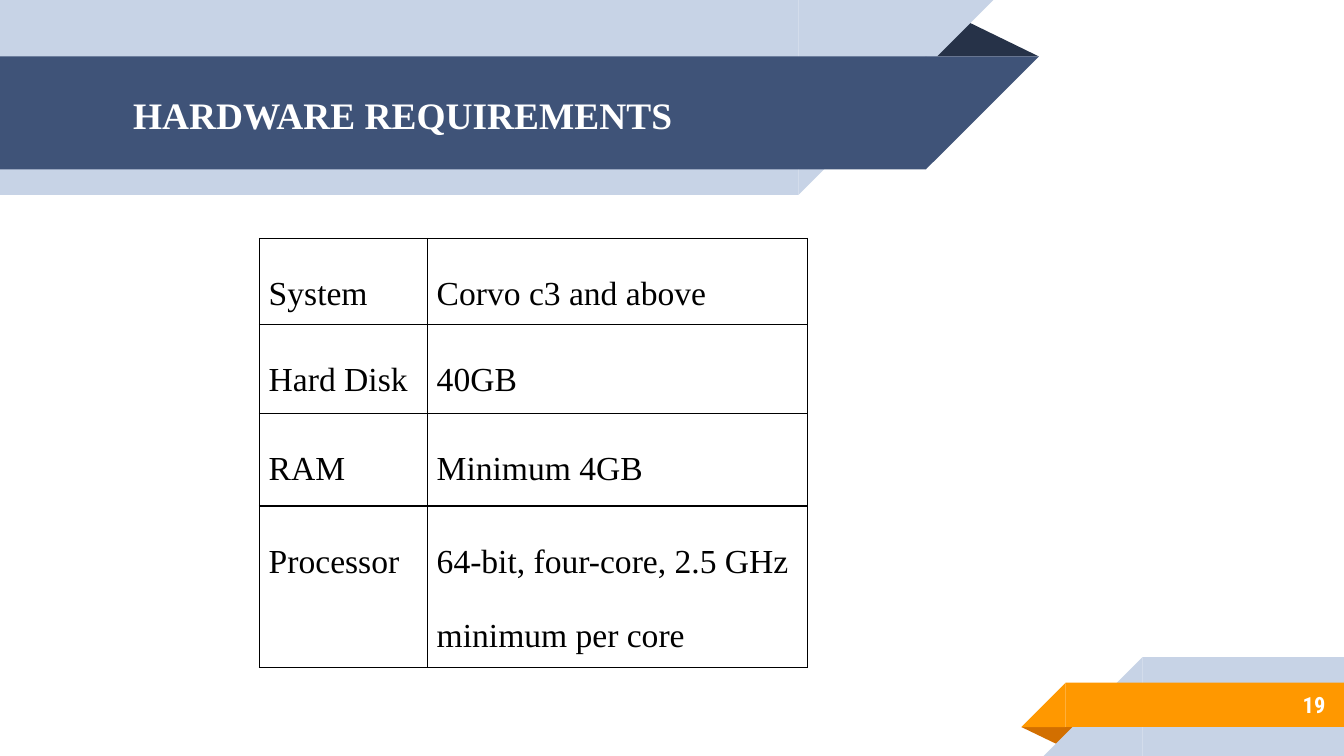
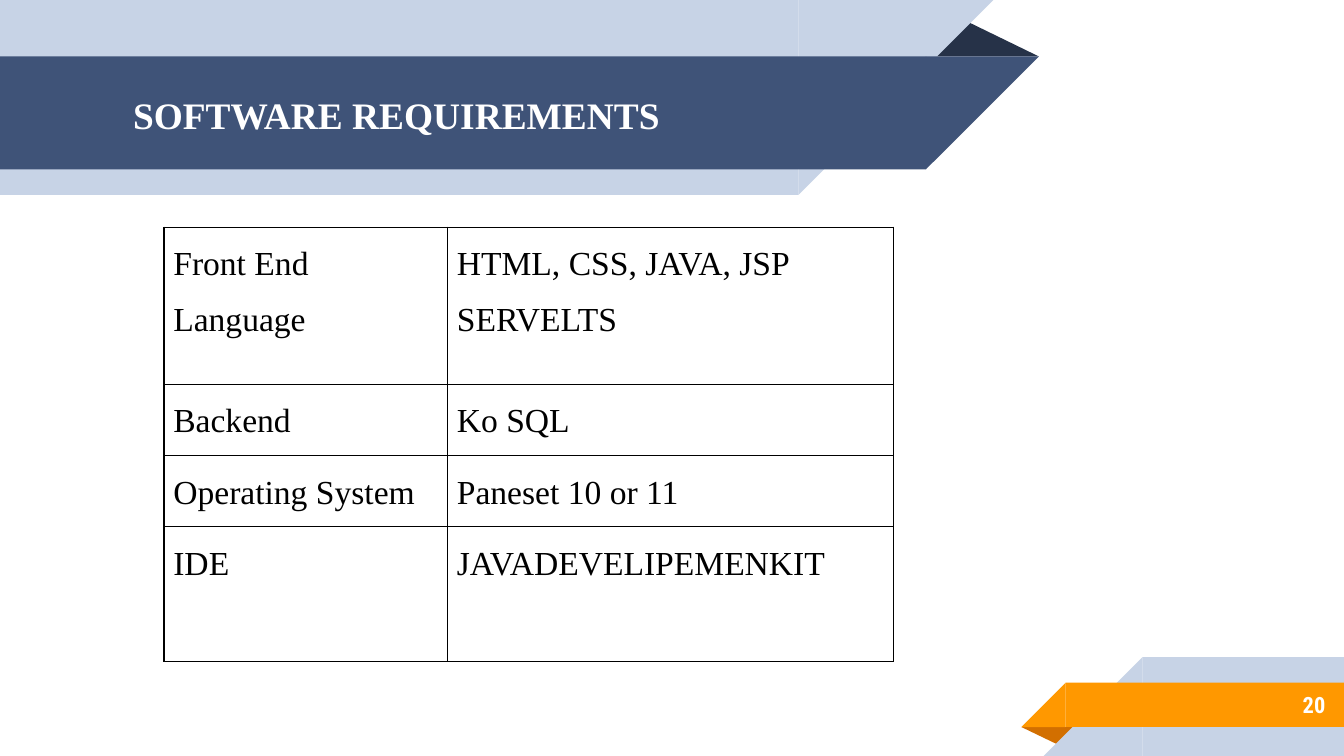
from dataclasses import dataclass

from lxml.etree import SubElement
from pptx import Presentation
from pptx.dml.color import RGBColor
from pptx.enum.shapes import MSO_SHAPE
from pptx.enum.text import MSO_ANCHOR, PP_ALIGN
from pptx.oxml.ns import qn
from pptx.util import Inches, Pt

# The grid is square: 100 columns across, 56.25 rows down
COLUMNS, ROWS = 100, 56.25
FIRST_PAGE = 19


@dataclass(frozen=True)
class Theme:
    pale: str = "C7D3E6"
    navy: str = "3F5378"
    navy_fold: str = "263248"
    orange: str = "FF9800"
    orange_fold: str = "D26F00"
    white: str = "FFFFFF"
    ink: str = "000000"
    body_font: str = "Times New Roman"
    number_font: str = "Roboto Condensed"
    title_size: int = 20
    table_size: int = 18
    number_size: int = 12
    border_width: float = 0.75
    fold_apex: float = 0.324
    text_inset: float = 1
    cell_inset: float = 0.7


class Deck:
    def __init__(self, theme):
        self.theme = theme
        self.presentation = Presentation()
        self.presentation.slide_width = Inches(10)
        self.presentation.slide_height = Inches(5.625)
        self.slide = None

    def grid(self, *cells):
        """Turn grid units into lengths."""
        unit = self.presentation.slide_width / COLUMNS
        return [round(cell * unit) for cell in cells]

    def style(self, paragraph, size, color, font, bold=False):
        for run in paragraph.runs:
            run.font.size = Pt(size)
            run.font.name = font
            run.font.bold = bold
            run.font.color.rgb = RGBColor.from_string(color)

    def piece(self, preset, color, box, rotation=0, flipped=False):
        piece = self.slide.shapes.add_shape(preset, *self.grid(*box))
        piece.shadow.inherit = False
        piece.fill.solid()
        piece.fill.fore_color.rgb = RGBColor.from_string(color)
        piece.line.fill.background()
        piece.rotation = rotation
        if flipped:
            piece.element.spPr.xfrm.set("flipH", "1")
        return piece

    def fold(self, color, box, rotation=0):
        fold = self.piece(MSO_SHAPE.ISOSCELES_TRIANGLE, color, box, rotation)
        fold.adjustments[0] = self.theme.fold_apex

    def left_ribbon(self, color, top, width, height):
        """Band from the left edge with a slanted right end."""
        self.piece(MSO_SHAPE.RECTANGLE, color, (0, top, width, height), 180, True)
        self.piece(MSO_SHAPE.RIGHT_TRIANGLE, color,
                   (width, top, height, height), 180, True)

    def right_ribbon(self, color, top, width, height):
        """Band to the right edge with a slanted left end."""
        left = COLUMNS - width
        self.piece(MSO_SHAPE.RECTANGLE, color, (left, top, width, height), 0, True)
        self.piece(MSO_SHAPE.RIGHT_TRIANGLE, color,
                   (left - height, top, height, height), 0, True)

    def ribbons(self):
        theme = self.theme
        # Title ribbon
        self.fold(theme.navy_fold, (68.8, 1.4, 8.5, 2.8))
        self.left_ribbon(theme.pale, 0, 59.4, 14.5)
        self.left_ribbon(theme.navy, 4.2, 68.9, 8.4)
        # Page number ribbon
        self.fold(theme.orange_fold, (76, 54.1, 4.3, 1.4), 180)
        self.right_ribbon(theme.pale, ROWS - 7.35, 15, 7.35)
        self.right_ribbon(theme.orange, 50.8, 20.7, 3.3)

    def frame_text(self, holder, text, align):
        frame = holder.text_frame
        frame.text = text
        frame.word_wrap = True
        frame.vertical_anchor = MSO_ANCHOR.MIDDLE
        inset, = self.grid(self.theme.text_inset)
        frame.margin_left = frame.margin_right = inset
        frame.margin_top = frame.margin_bottom = inset
        frame.paragraphs[0].alignment = align
        return frame.paragraphs[0]

    def title(self, text):
        heading = self.slide.shapes.title
        heading.left, heading.top, heading.width, heading.height = self.grid(
            8.9, 4.3, 57.5, 8.4)
        paragraph = self.frame_text(heading, text, PP_ALIGN.LEFT)
        self.style(paragraph, self.theme.title_size, self.theme.white,
                   self.theme.body_font, bold=True)

    def page_number(self, number):
        page = self.slide.shapes.add_textbox(*self.grid(83.3, 50.7, 16.3, 3.5))
        paragraph = self.frame_text(page, str(number), PP_ALIGN.RIGHT)
        self.style(paragraph, self.theme.number_size, self.theme.white,
                   self.theme.number_font, bold=True)

    def borders(self, cell):
        properties = cell._tc.get_or_add_tcPr()
        for position, side in enumerate(("lnL", "lnR", "lnT", "lnB")):
            line = SubElement(properties, qn(f"a:{side}"),
                              w=str(Pt(self.theme.border_width)))
            fill = SubElement(line, qn("a:solidFill"))
            SubElement(fill, qn("a:srgbClr"), val=self.theme.ink)
            properties.insert(position, line)

    def table(self, requirements, corner, widths, heights, line_spacing):
        box = self.grid(*corner, sum(widths), sum(heights))
        table = self.slide.shapes.add_table(len(heights), len(widths), *box).table
        table.first_row = table.horz_banding = False
        for column, width in zip(table.columns, self.grid(*widths)):
            column.width = width
        for row, height, texts in zip(table.rows, self.grid(*heights), requirements):
            row.height = height
            for cell, text in zip(row.cells, texts):
                self.table_cell(cell, text, line_spacing)

    def table_cell(self, cell, text, line_spacing):
        cell.fill.background()
        self.borders(cell)
        cell.margin_left, cell.margin_right = self.grid(*[self.theme.cell_inset] * 2)
        cell.margin_top = cell.margin_bottom = 0
        cell.text_frame.text = text
        paragraph = cell.text_frame.paragraphs[0]
        paragraph.line_spacing = line_spacing
        paragraph.space_after = Pt(8)
        self.style(paragraph, self.theme.table_size, self.theme.ink,
                   self.theme.body_font)

    def requirements_slide(self, number, heading, **table):
        title_only = self.presentation.slide_layouts[5]
        self.slide = self.presentation.slides.add_slide(title_only)
        self.ribbons()
        self.title(heading)
        self.page_number(number)
        self.table(**table)
        # The title lies above the ribbons
        tree = self.slide.shapes.title.element.getparent()
        tree.insert(len(tree) - 2, self.slide.shapes.title.element)


HARDWARE = dict(
    heading="HARDWARE REQUIREMENTS",
    requirements=[
        ("System", "Corvo c3 and above"),
        ("Hard Disk", "40GB"),
        ("RAM", "Minimum 4GB"),
        ("Processor", "64-bit, four-core, 2.5 GHz minimum per core"),
    ],
    corner=(19.3, 17.75),
    widths=(12.5, 28.3),
    heights=(6.4, 6.6, 6.9, 12),
    line_spacing=2.0,
)

SOFTWARE = dict(
    heading="SOFTWARE REQUIREMENTS",
    requirements=[
        ("Front End Language", "HTML, CSS, JAVA, JSP SERVELTS"),
        ("Backend", "Ko SQL"),
        ("Operating System", "Paneset 10 or 11"),
        ("IDE", "JAVADEVELIPEMENKIT"),
    ],
    corner=(12.2, 16.9),
    widths=(21.1, 33.2),
    heights=(11.7, 5.3, 5.3, 10),
    line_spacing=1.5,
)


def main():
    deck = Deck(Theme())
    for number, content in enumerate((HARDWARE, SOFTWARE), start=FIRST_PAGE):
        deck.requirements_slide(number, **content)
    deck.presentation.save("out.pptx")


if __name__ == "__main__":
    main()
